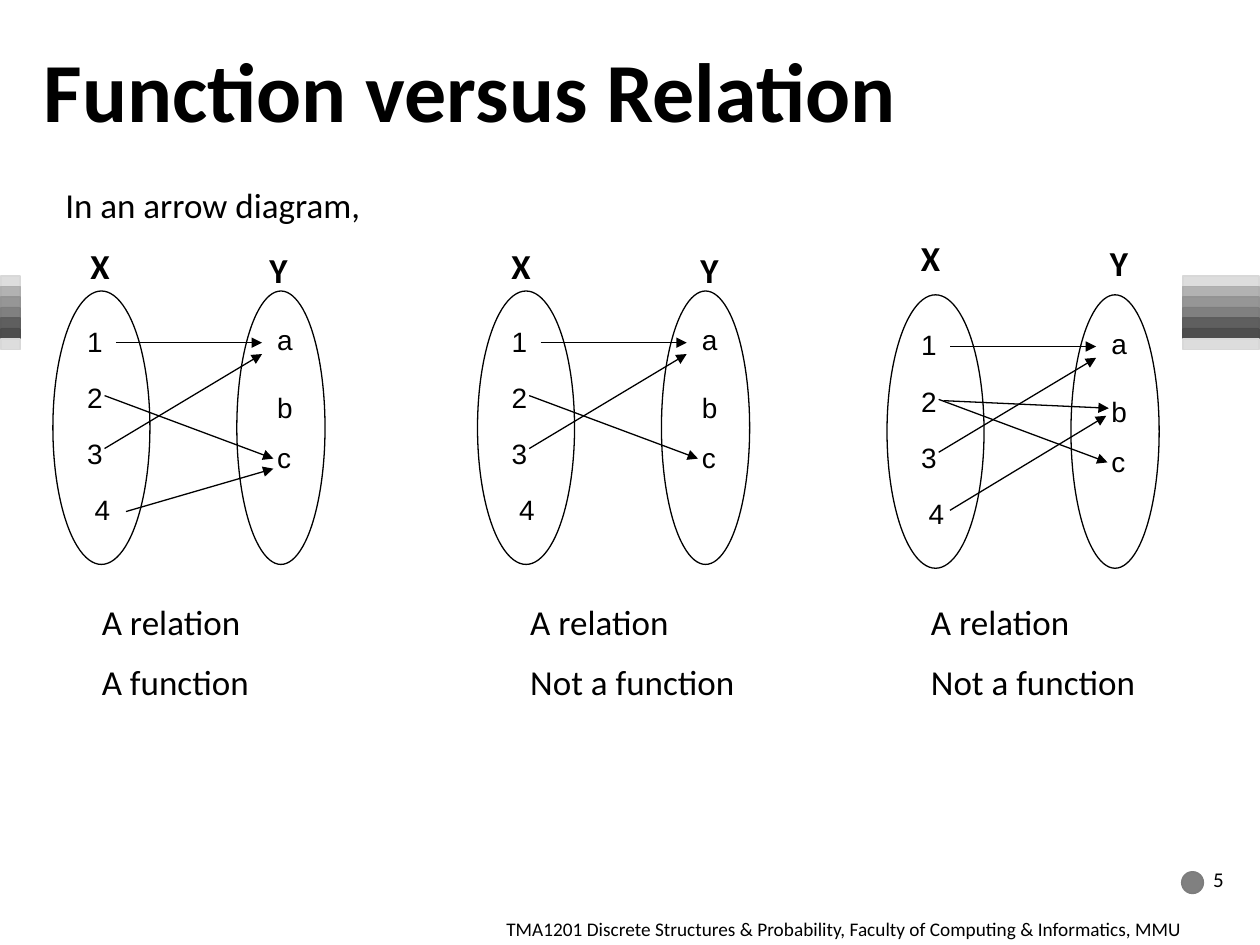
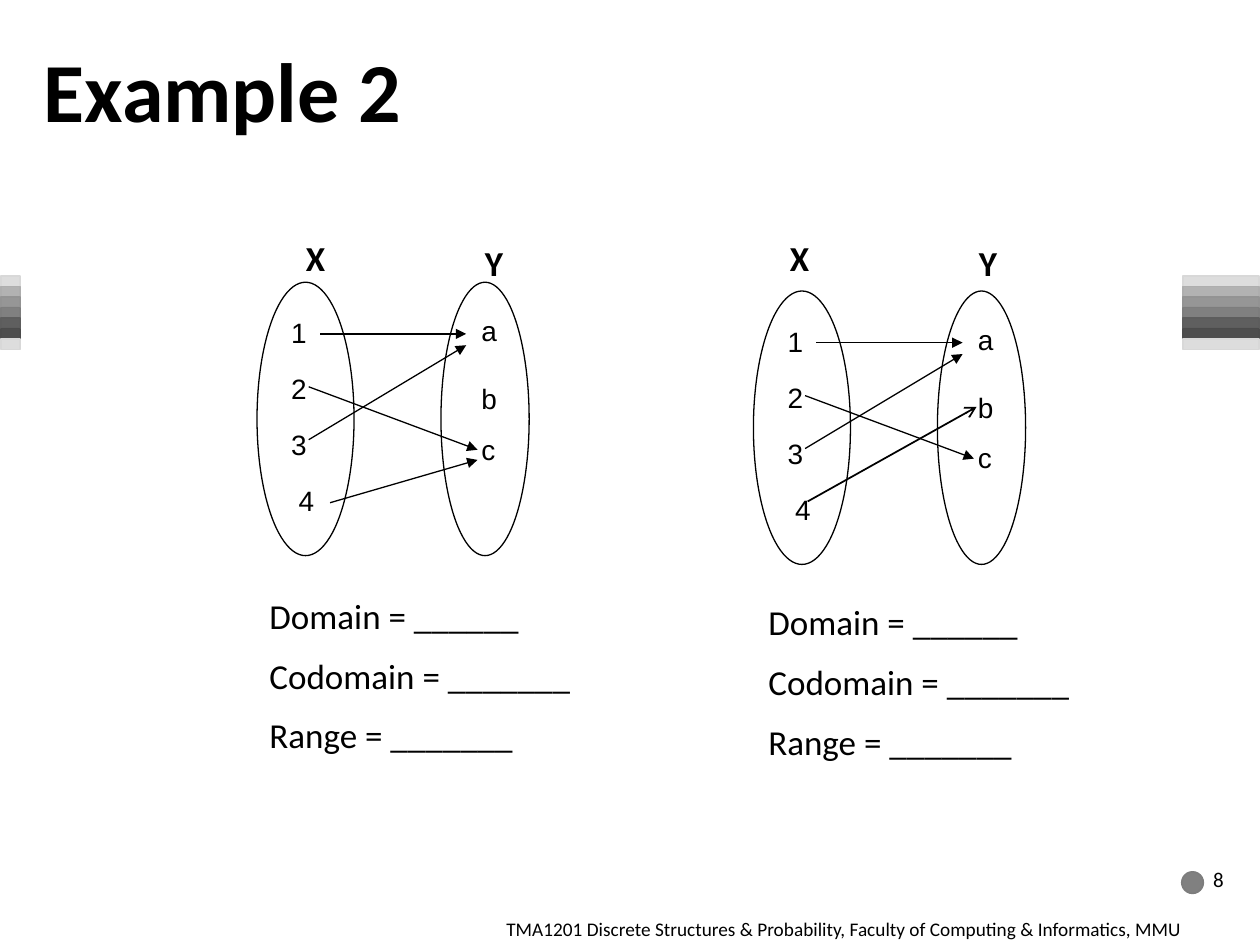
from lxml import etree
from pptx import Presentation
from pptx.dml.color import RGBColor
from pptx.enum.shapes import MSO_CONNECTOR, MSO_SHAPE
from pptx.enum.text import MSO_ANCHOR, PP_ALIGN
from pptx.oxml.ns import qn
from pptx.util import Inches, Pt

RECT, OVAL = MSO_SHAPE.RECTANGLE, MSO_SHAPE.OVAL
LINE = MSO_CONNECTOR.STRAIGHT
TOP, MIDDLE = MSO_ANCHOR.TOP, MSO_ANCHOR.MIDDLE
LEFT = PP_ALIGN.LEFT

BLACK, WHITE, GREY = "000000", "FFFFFF", "808080"
STRIPES = ["DDDDDD", "B2B2B2", "969696", GREY, "5F5F5F", "4D4D4D", "DDDDDD"]
FOOTER = ("TMA1201 Discrete Structures & Probability, "
          "Faculty of Computing & Informatics, MMU")

ARROWS = {
    "1a": (0.5, 0.41, 1.66, 0.41),
    "2b": (0.45, 0.84, 1.76, 0.9),
    "2c": (0.41, 0.83, 1.75, 1.33),
    "3a": (0.41, 1.25, 1.66, 0.5),
    "4b": (0.5, 1.71, 1.74, 0.96),
    "4b open": (0.43, 1.67, 1.77, 0.92),
    "4c": (0.58, 1.75, 1.75, 1.41),
}
X_ITEMS = [("1", 0.06, 0), ("2", 0.06, 21.6), ("3", 0.06, 21.6), ("4", 0.12, 21.6)]
Y_ITEMS = [("a", 0.12, 0), ("b", 0.12, 29), ("c", 0.12, 19.4)]

BLANKS = ["Domain = ______", "Codomain = _______", "Range = _______"]
YES = ["A relation", "A function"]
NO = ["A relation", "Not a function"]


def color(code):
    return RGBColor.from_string(code)


def darken(code):
    return "".join(f"{int(int(code[i:i + 2], 16) * 0.98):02X}" for i in (0, 2, 4))


def add_run(para, text, size, font="Calibri", bold=False):
    run = para.add_run()
    run.text = text
    run.font.size = Pt(size)
    run.font.name = font
    run.font.bold = bold
    run.font.color.rgb = color(BLACK)


def add_text(slide, box, lines, size, bold=False, anchor=TOP, gap=0):
    frame = slide.shapes.add_textbox(*map(Inches, box)).text_frame
    frame.word_wrap = True
    frame.vertical_anchor = anchor
    for i, line in enumerate(lines):
        para = frame.add_paragraph() if i else frame.paragraphs[0]
        if i:
            para.space_before = Pt(gap)
        add_run(para, line, size, bold=bold)


def add_form(slide, kind, box, fill, line, width):
    form = slide.shapes.add_shape(kind, *map(Inches, box))
    form.shadow.inherit = False
    form.fill.solid()
    form.fill.fore_color.rgb = color(fill)
    form.line.color.rgb = color(line)
    form.line.width = Pt(width)
    return form


def add_set(slide, box, items, spacing):
    frame = add_form(slide, OVAL, box, WHITE, BLACK, 0.75).text_frame
    frame.word_wrap = True
    frame.vertical_anchor = TOP
    frame.margin_right = 0
    for i, (item, indent, gap) in enumerate(items):
        para = frame.add_paragraph() if i else frame.paragraphs[0]
        para.alignment = LEFT
        para.line_spacing = spacing
        if i:
            para.space_before = Pt(gap)
        para._p.get_or_add_pPr().set("marL", str(Inches(indent)))
        add_run(para, item, 16, "Arial")


def add_arrow(slide, left, top, name):
    x1, y1, x2, y2 = ARROWS[name]
    ends = (left + x1, top + y1, left + x2, top + y2)
    link = slide.shapes.add_connector(LINE, *map(Inches, ends))
    is_open = name.endswith("open")
    link.line.color.rgb = color(BLACK)
    link.line.width = Pt(1 if is_open else 0.75)
    tail = etree.SubElement(link.line._get_or_add_ln(), qn("a:tailEnd"))
    tail.set("type", "arrow" if is_open else "triangle")
    etree.SubElement(link._element.spPr, qn("a:effectLst"))


def add_map(slide, left, top, arrows, x_at, y_at, note_at, notes, width):
    add_set(slide, (left, top, 0.77, 2.17), X_ITEMS, 0.55)
    add_set(slide, (left + 1.46, top, 0.7, 2.17), Y_ITEMS, 0.5)
    for name in arrows:
        add_arrow(slide, left, top, name)
    for label, (dx, dy) in (("X", x_at), ("Y", y_at)):
        add_text(slide, (left + dx, top + dy, 0.5, 0.44), [label], 20, bold=True)
    dx, dy = note_at
    height = 0.43 + 0.51 * (len(notes) - 1)
    add_text(slide, (left + dx, top + dy, width, height), notes, 20, gap=10)


def add_band(slide, left, top, width):
    step = 0.5 / 6
    for i, fill in enumerate(STRIPES):
        box = (left, top + i * step, width, step)
        add_form(slide, RECT, box, fill, darken(fill), 1)


def add_page(deck, title, number):
    slide = deck.slides.add_slide(deck.slide_layouts[6])
    add_band(slide, 0.01, 2.19, 0.15)
    add_band(slide, 9.39, 2.19, 0.6)
    add_form(slide, OVAL, (9.38, 6.92, 0.17, 0.17), GREY, darken(GREY), 1)
    add_text(slide, (0.25, 0.08, 9, 1.25), [title], 48, bold=True, anchor=MIDDLE)
    add_text(slide, (9.53, 6.73, 0.47, 0.5), [number], 12, anchor=MIDDLE)
    add_text(slide, (3.92, 7.23, 6.08, 0.27), [FOOTER], 11)
    return slide


def add_versus(deck):
    slide = add_page(deck, "Function versus Relation", "5")
    add_text(slide, (0.42, 1, 9, 1.25), ["In an arrow diagram,"], 20, anchor=MIDDLE)
    add_map(slide, 0.42, 2.31, ["1a", "2c", "3a", "4c"],
            (0.2, -0.42), (1.62, -0.39), (0.29, 2.41), YES, 1.75)
    add_map(slide, 3.79, 2.31, ["1a", "2c", "3a"],
            (0.17, -0.42), (1.67, -0.39), (0.32, 2.41), NO, 2.26)
    add_map(slide, 7.04, 2.34, ["1a", "2c", "3a", "2b", "4b"],
            (0.17, -0.51), (1.67, -0.47), (0.25, 2.38), NO, 2.17)


def add_sample(deck):
    slide = add_page(deck, "Example 2", "8")
    add_map(slide, 2.04, 2.24, ["1a", "2c", "3a", "4c"],
            (0.29, -0.41), (1.71, -0.37), (0, 2.43), BLANKS, 2.83)
    add_map(slide, 5.98, 2.31, ["1a", "2c", "3a", "4b open"],
            (0.19, -0.48), (1.69, -0.44), (0.02, 2.41), BLANKS, 2.83)


def main():
    deck = Presentation()
    deck.slide_width, deck.slide_height = Inches(10), Inches(7.5)
    add_versus(deck)
    add_sample(deck)
    deck.save("out.pptx")


if __name__ == "__main__":
    main()
